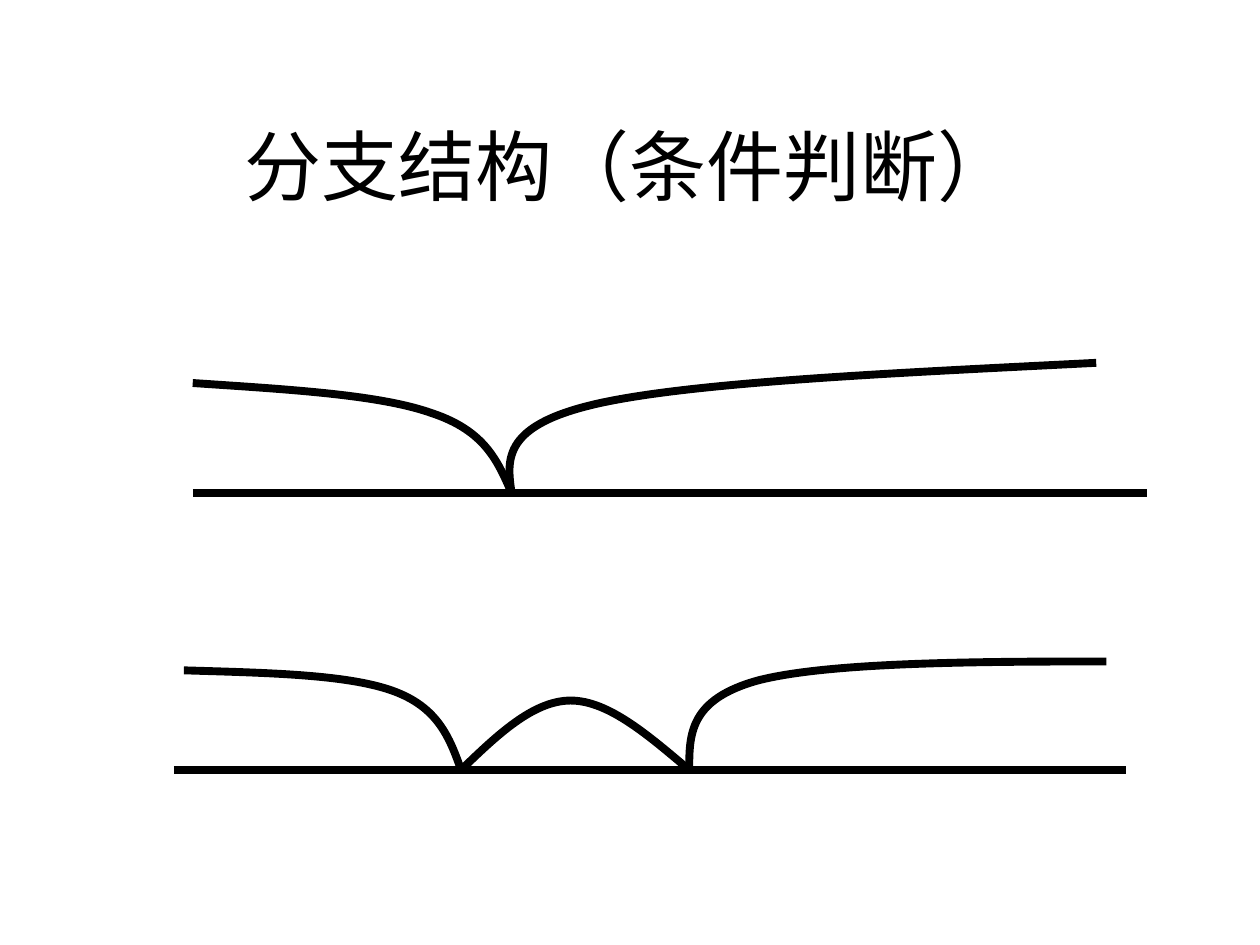
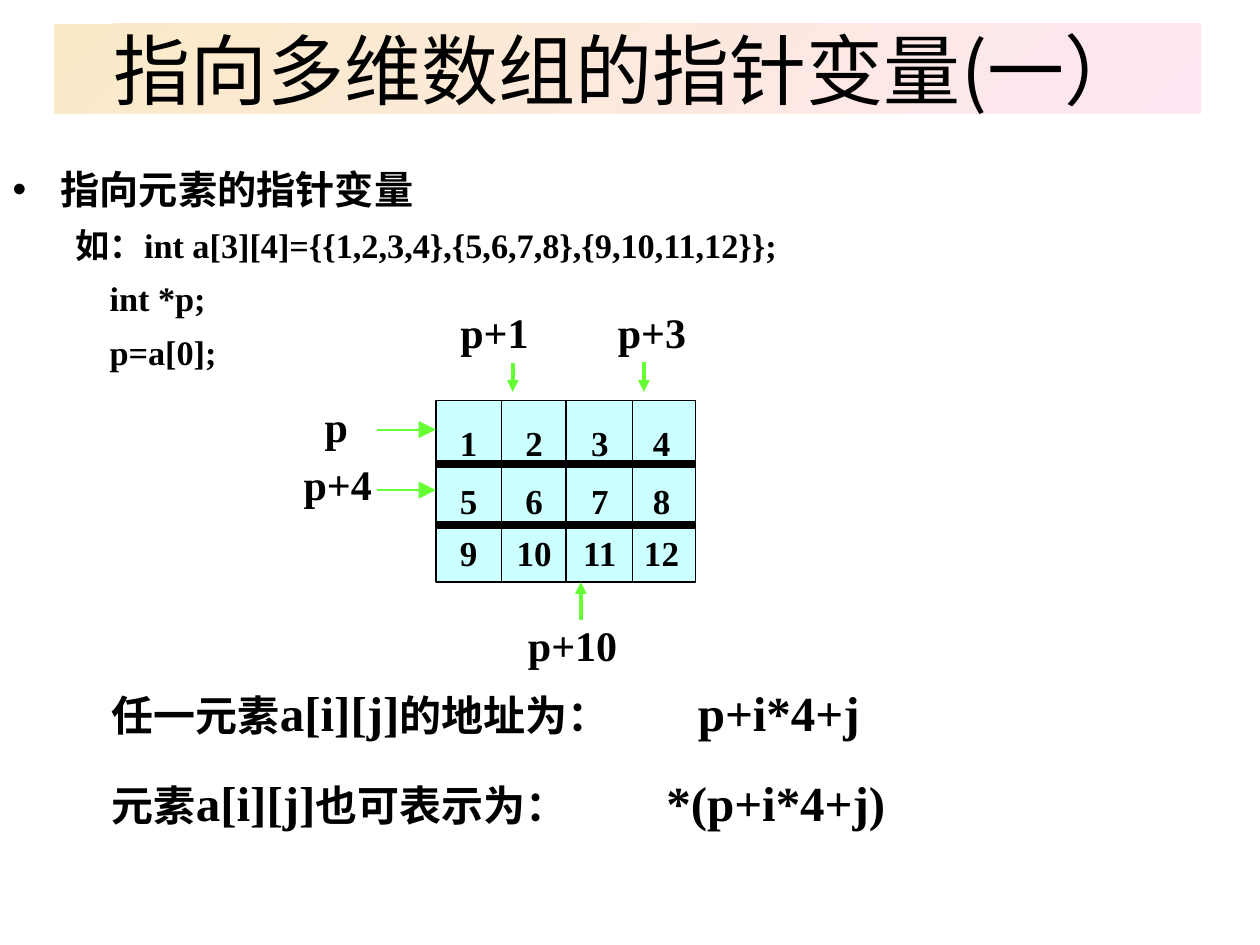
from lxml import etree
from pptx import Presentation
from pptx.dml.color import RGBColor
from pptx.enum import shapes, text
from pptx.oxml import ns
from pptx.util import Inches, Pt

COLORS = {
    "ink": "000000",
    "cell": "CCFFFF",
    "arrow": "66FF33",
    "band_start": "FBEAC7",
    "band_end": "FEE7F2",
}
SERIF = "Times New Roman"
HAN = "Noto Sans CJK SC"
THICK, THIN, ARROW = 4.5, 1, 2.25

ONE_BRANCH = [
    [(2.53, 0), (2.42, -0.25), (2.32, -0.49), (1.9, -0.63),
     (1.48, -0.78), (0.74, -0.82), (0, -0.87)],
    [(2.53, 0), (2.49, -0.27), (2.46, -0.54), (3.23, -0.71),
     (4.01, -0.88), (5.59, -0.95), (7.17, -1.03)],
]
TWO_BRANCHES = [
    [(2.28, 0), (2.19, -0.25), (2.1, -0.5), (1.73, -0.63),
     (1.36, -0.76), (0.72, -0.77), (0.08, -0.79)],
    [(4.09, 0), (4.09, -0.28), (4.09, -0.56), (4.64, -0.71),
     (5.19, -0.85), (6.3, -0.86), (7.4, -0.86)],
    [(2.28, 0), (2.56, -0.27), (2.85, -0.55), (3.15, -0.55),
     (3.45, -0.55), (3.77, -0.27), (4.09, 0)],
]


def color(name):
    return RGBColor.from_string(COLORS[name])


def child(parent, tag, **attributes):
    return etree.SubElement(parent, ns.qn(tag), **attributes)


def style_font(font, size, bold=False, latin=SERIF):
    font.name = latin
    font.bold = bold
    font.color.rgb = color("ink")
    if size:
        font.size = Pt(size)
    latin_font = font._element.find(ns.qn("a:latin"))
    latin_font.addnext(etree.Element(ns.qn("a:ea"), typeface=HAN))


def place(shape, left, top, width, height):
    shape.left, shape.top = Inches(left), Inches(top)
    shape.width, shape.height = Inches(width), Inches(height)


def set_title(slide, wording, box, latin):
    title = slide.shapes.title
    place(title, *box)
    frame = title.text_frame
    frame.text = wording
    frame.auto_size = text.MSO_AUTO_SIZE.NONE
    frame.vertical_anchor = text.MSO_ANCHOR.MIDDLE
    heading = frame.paragraphs[0]
    heading.alignment = text.PP_ALIGN.CENTER
    style_font(heading.font, 44, latin=latin)
    return title


def add_line(group, start, end, width, ink="ink", arrow_size=None):
    line = group.shapes.add_connector(
        shapes.MSO_CONNECTOR.STRAIGHT, *map(Inches, (*start, *end)))
    line.line.color.rgb = color(ink)
    line.line.width = Pt(width)
    if arrow_size:
        child(line.line._get_or_add_ln(), "a:tailEnd",
              type="triangle", w=arrow_size, len=arrow_size)
    child(line._element.spPr, "a:effectLst")


def add_label(group, wording, box, size):
    label = group.shapes.add_textbox(*map(Inches, box))
    frame = label.text_frame
    frame.word_wrap = True
    frame.text = wording
    paragraph = frame.paragraphs[0]
    paragraph.alignment = text.PP_ALIGN.CENTER
    style_font(paragraph.font, size, bold=True)


def bend(curve):
    segments = list(curve._element.iter(ns.qn("a:lnTo")))
    outline = segments[0].getparent()
    for first in range(0, len(segments), 3):
        bezier = child(outline, "a:cubicBezTo")
        for segment in segments[first:first + 3]:
            bezier.append(segment[0])
            outline.remove(segment)


def add_branch_diagram(slide, left, base, width, curves):
    group = slide.shapes.add_group_shape()
    add_line(group, (left, base), (left + width, base), THICK)
    for knots in curves:
        points = [(Inches(left + x), Inches(base + y)) for x, y in knots]
        builder = group.shapes.build_freeform(*points[0])
        builder.add_line_segments(points[1:], close=False)
        curve = builder.convert_to_shape()
        bend(curve)
        curve.shadow.inherit = False
        curve.fill.background()
        curve.line.color.rgb = color("ink")
        curve.line.width = Pt(THICK)


def add_declaration(slide, box):
    body = slide.placeholders[1]
    place(body, *box)
    frame = body.text_frame
    frame.auto_size = text.MSO_AUTO_SIZE.NONE
    lines = [
        ("指向元素的指针变量", 22.4, 8, 0.38, -0.38),
        ("如：int a[3][4]={{1,2,3,4},{5,6,7,8},{9,10,11,12}};", 19.6, 7, 0.81, -0.31),
        ("int *p;", 19.6, 7, 0.77, 0),
        ("p=a[0];", 19.6, 7, 0.77, 0),
    ]
    frame.text = "\n".join(line[0] for line in lines)
    for index, (paragraph, line) in enumerate(zip(frame.paragraphs, lines)):
        _, size, gap, margin, indent = line
        paragraph.level = min(index, 1)
        paragraph.space_before = Pt(gap)
        properties = paragraph._p.get_or_add_pPr()
        properties.set("marL", str(Inches(margin)))
        properties.set("indent", str(Inches(indent)))
        if index == 0:
            child(properties, "a:buChar", char="•")
        else:
            child(properties, "a:buNone")
        style_font(paragraph.font, size, bold=True)


def add_formulas(slide, box):
    formulas = slide.shapes.add_textbox(*map(Inches, box))
    frame = formulas.text_frame
    frame.word_wrap = True
    lines = [
        ("任一元素", "的地址为：", "p+i*4+j", 4.65),
        ("元素", "也可表示为：", "*(p+i*4+j)", 4.4),
    ]
    for index, (subject, predicate, formula, tab) in enumerate(lines):
        paragraph = frame.add_paragraph() if index else frame.paragraphs[0]
        paragraph.space_before = Pt(17.5)
        tabs = child(paragraph._p.get_or_add_pPr(), "a:tabLst")
        child(tabs, "a:tab", pos=str(Inches(tab)), algn="l")
        style_font(paragraph.font, None, bold=True)
        pieces = [(subject, 24), ("a[i][j]", 28), (predicate + "\t", 24), (formula, 28)]
        for wording, size in pieces:
            run = paragraph.add_run()
            run.text = wording
            run.font.size = Pt(size)


def add_array_diagram(slide, left, top, width, height):
    group = slide.shapes.add_group_shape()
    right, bottom = left + width, top + height
    grid = group.shapes.add_shape(
        shapes.MSO_SHAPE.RECTANGLE, *map(Inches, (left, top, width, height)))
    grid.shadow.inherit = False
    grid.fill.solid()
    grid.fill.fore_color.rgb = color("cell")
    grid.line.color.rgb = color("ink")
    grid.line.width = Pt(THIN)

    for row_line in (top + 0.5, top + 0.99):
        add_line(group, (left, row_line), (right, row_line), THICK)
    for column_line in (left + 0.52, left + 1.03, left + 1.56):
        add_line(group, (column_line, top), (column_line, bottom), THIN)
    for row, y in enumerate((0.12, 0.58, 0.99)):
        for column, x in enumerate((0, 0.52, 1.04, 1.53)):
            add_label(group, str(row * 4 + column + 1),
                      (left + x, top + y, 0.52, 0.44), 20)

    pointers = [
        ("p", (-1.38, -0.05), 1.18, (-0.47, 0.23), (0, 0.23), THIN, "lg"),
        ("p+4", (-1.37, 0.41), 1.18, (-0.47, 0.71), (0, 0.71), THIN, "lg"),
        ("p+1", (-0.14, -0.8), 1.21, (0.61, -0.3), (0.61, -0.07), ARROW, "med"),
        ("p+3", (1.14, -0.8), 1.15, (1.65, -0.31), (1.65, -0.07), ARROW, "med"),
        ("p+10", (0.52, 1.69), 1.13, (1.15, 1.74), (1.15, height), ARROW, "med"),
    ]
    for name, (x, y), label_width, start, end, weight, arrow_size in pointers:
        add_label(group, name, (left + x, top + y, label_width, 0.5), 24)
        add_line(group, (left + start[0], top + start[1]), (left + end[0], top + end[1]),
                 weight, "arrow", arrow_size)


def build_branch_slide(deck):
    slide = deck.slides.add_slide(deck.slide_layouts[5])
    set_title(slide, "分支结构（条件判断）", (0.75, 0.68, 8.5, 1.25), SERIF)
    add_branch_diagram(slide, 1.53, 3.91, 7.57, ONE_BRANCH)
    add_branch_diagram(slide, 1.38, 6.11, 7.56, TWO_BRANCHES)


def build_pointer_slide(deck):
    slide = deck.slides.add_slide(deck.slide_layouts[1])
    title = set_title(slide, "指向多维数组的指针变量(一）", (0.43, 0.19, 9.1, 0.71), HAN)
    title.fill.gradient()
    title.fill.gradient_angle = 315
    for stop, name in zip(title.fill.gradient_stops, ("band_start", "band_end")):
        stop.color.rgb = color(name)
    add_declaration(slide, (0, 1.26, 10, 1.7))
    add_formulas(slide, (0.79, 5.37, 8.03, 1.28))
    add_array_diagram(slide, 3.46, 3.18, 2.06, 1.44)


def main():
    deck = Presentation()
    deck.slide_width, deck.slide_height = Inches(10), Inches(7.5)
    build_branch_slide(deck)
    build_pointer_slide(deck)
    deck.save("out.pptx")


if __name__ == "__main__":
    main()
